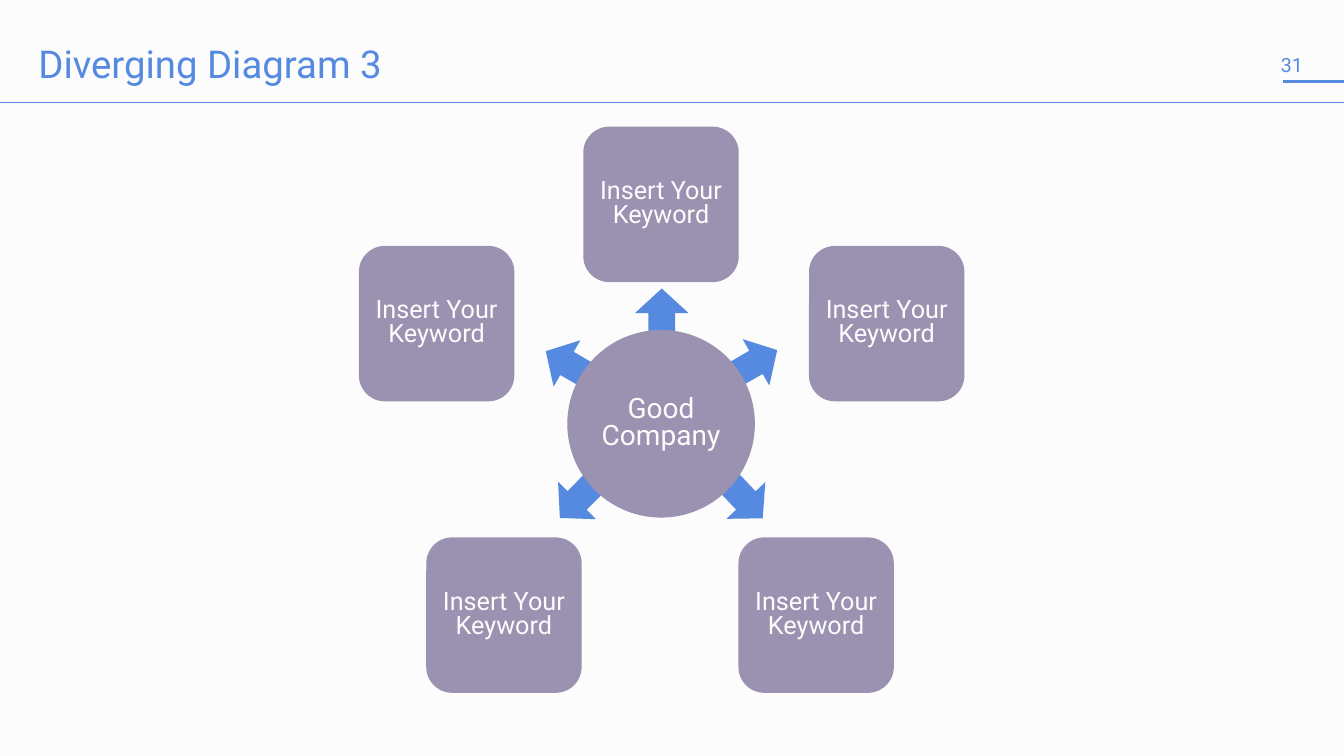
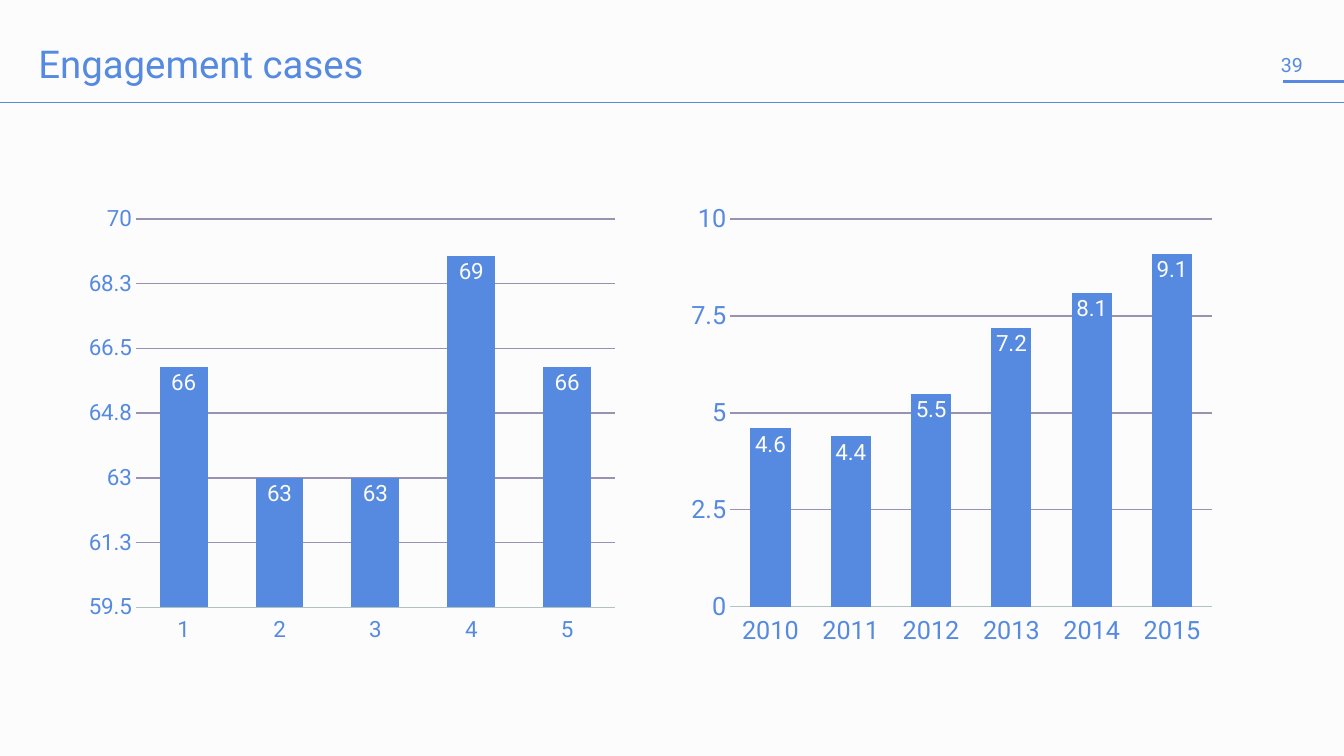
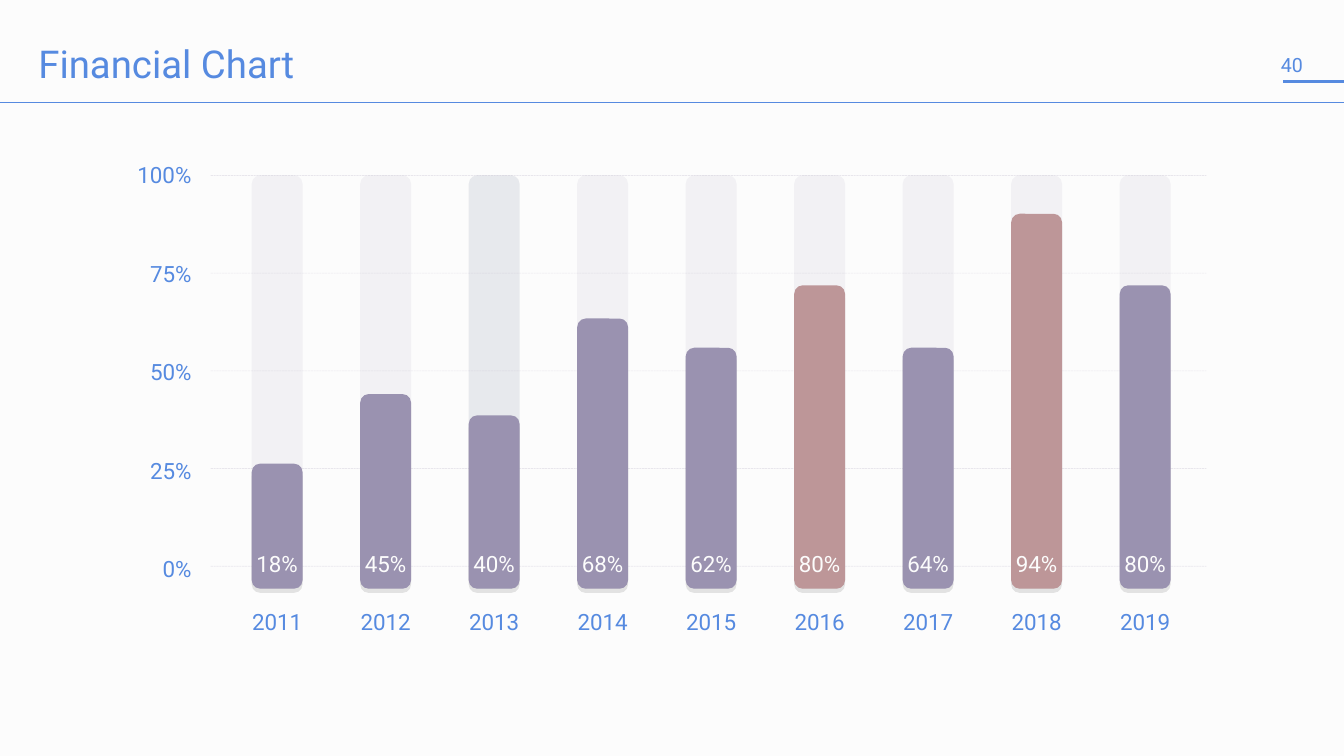
from dataclasses import dataclass

from lxml.etree import SubElement
from pptx import Presentation
from pptx.chart.data import CategoryChartData
from pptx.dml.color import RGBColor
from pptx.enum.chart import XL_CHART_TYPE, XL_LABEL_POSITION, XL_TICK_LABEL_POSITION, XL_TICK_MARK
from pptx.enum.dml import MSO_LINE
from pptx.enum.shapes import MSO_CONNECTOR, MSO_SHAPE
from pptx.enum.text import MSO_ANCHOR, MSO_AUTO_SIZE, PP_ALIGN
from pptx.oxml.ns import qn
from pptx.util import Pt


@dataclass(frozen=True)
class Theme:
    font: str = "Roboto"
    paper: RGBColor = RGBColor.from_string("FCFCFC")
    blue: RGBColor = RGBColor.from_string("568AE0")
    mauve: RGBColor = RGBColor.from_string("9A92B0")
    rose: RGBColor = RGBColor.from_string("BD9698")
    navy: RGBColor = RGBColor.from_string("36486D")
    baseline: RGBColor = RGBColor.from_string("B1C2C2")
    title: float = 27.4
    hub: int = 20
    keyword: int = 18
    label: int = 16
    number: int = 14


theme = Theme()


def paint(item, color, alpha=100, width=0):
    """Give a connector its line (when a width is set) or a shape its fill, without shadow."""
    if width:
        item.line.color.rgb = color
        item.line.width = Pt(width)
    else:
        item.fill.solid()
        item.fill.fore_color.rgb = color
        item.line.fill.background()
    properties = item.element.spPr
    if alpha < 100:
        SubElement(properties.find(".//" + qn("a:srgbClr")), qn("a:alpha"), val=str(alpha * 1000))
    SubElement(properties, qn("a:effectLst"))


def write(box, text, size, color, align=PP_ALIGN.LEFT, spacing=1.0, anchor=MSO_ANCHOR.TOP, inset=3.6):
    frame = box.text_frame
    frame.text = text
    frame.word_wrap = True
    frame.auto_size = MSO_AUTO_SIZE.NONE
    frame.vertical_anchor = anchor
    frame.margin_left = frame.margin_right = frame.margin_top = frame.margin_bottom = Pt(inset)
    for para in frame.paragraphs:
        para.alignment = align
        para.line_spacing = spacing
        for span in para.runs:
            span.font.name = theme.font
            span.font.size = Pt(size)
            span.font.color.rgb = color


# Shared frame: background, header rules, titles and page numbers
deck = Presentation()
deck.slide_width, deck.slide_height = Pt(960), Pt(540)
deck.slide_master.background.fill.solid()
deck.slide_master.background.fill.fore_color.rgb = theme.paper
layout = deck.slide_layouts[5]

pages = []
for title, number in [("Diverging Diagram 3", "31"), ("Engagement cases", "39"), ("Financial Chart", "40")]:
    page = deck.slides.add_slide(layout)
    heading = page.shapes.title
    heading.left, heading.top, heading.width, heading.height = Pt(23.8), Pt(32.4), Pt(823), Pt(38.9)
    write(heading, title, theme.title, theme.blue, spacing=0.75)
    number_box = page.shapes.add_textbox(Pt(910), Pt(33), Pt(40), Pt(26.6))
    write(number_box, number, theme.number, theme.blue, anchor=MSO_ANCHOR.MIDDLE, inset=5)
    pages.append(page)
diagram_page, cases_page, financial_page = pages

# Header rules are drawn once and moved to the layout
for left, top, width in [(916.6, 58.2, 2), (0, 73.3, 0.5)]:
    rule = diagram_page.shapes.add_connector(MSO_CONNECTOR.STRAIGHT, Pt(left), Pt(top), Pt(960), Pt(top))
    paint(rule, theme.blue, width=width)
    layout.shapes.element.append(rule.element)

# Diverging diagram: arrows (centre x, centre y, rotation), hub, keyword tiles
arrow_width, arrow_height = 35, 38.2
for x, y, rotation in [(472.7, 223.6, 270), (540, 258.8, 330), (532.8, 357.5, 46.6),
                       (412.2, 357.5, 134.6), (405, 259.6, 210)]:
    arrow = diagram_page.shapes.add_shape(
        MSO_SHAPE.RIGHT_ARROW, Pt(x - arrow_width / 2), Pt(y - arrow_height / 2), Pt(arrow_width), Pt(arrow_height))
    arrow.rotation = rotation
    paint(arrow, theme.blue)

hub = diagram_page.shapes.add_shape(MSO_SHAPE.OVAL, Pt(405.2), Pt(235.7), Pt(134), Pt(134))
paint(hub, theme.mauve)
write(hub, "Good\nCompany", theme.hub, theme.paper, PP_ALIGN.CENTER, 0.8, MSO_ANCHOR.MIDDLE, inset=0)

tile_size = 111
for left, top in [(416.7, 90.5), (577.9, 175.7), (527.5, 383.9), (304.5, 383.9), (256.4, 175.7)]:
    tile = diagram_page.shapes.add_shape(
        MSO_SHAPE.ROUNDED_RECTANGLE, Pt(left), Pt(top), Pt(tile_size), Pt(tile_size))
    paint(tile, theme.mauve)
    write(tile, "Insert Your Keyword", theme.keyword, theme.paper, PP_ALIGN.CENTER, 0.8, MSO_ANCHOR.MIDDLE)

# Engagement charts: place, categories, values, axis (low, high, step), axis type size, plot area
engagement_charts = [
    ((51.8, 137.5, 389.5, 331.2), ["1", "2", "3", "4", "5"], [66, 63, 63, 69, 66],
     (59.5, 70, 1.75), theme.label, (0.116, 0.057, 0.879, 0.838)),
    ((481.7, 134.6, 391.7, 337.7), ["2010", "2011", "2012", "2013", "2014", "2015"],
     [4.6, 4.4, 5.5, 7.2, 8.1, 9.1], (0, 10, 2.5), theme.keyword, (0.102, 0.065, 0.879, 0.82)),
]
for place, categories, values, (low, high, step), axis_size, plot_place in engagement_charts:
    data = CategoryChartData()
    data.categories = categories
    data.add_series("Series 1", values)
    chart = cases_page.shapes.add_chart(XL_CHART_TYPE.COLUMN_CLUSTERED, *map(Pt, place), data).chart
    chart.has_legend = chart.has_title = False
    chart.font.name = theme.font

    for axis in (chart.category_axis, chart.value_axis):
        axis.major_tick_mark = axis.minor_tick_mark = XL_TICK_MARK.NONE
        axis.tick_labels.font.name = theme.font
        axis.tick_labels.font.size = Pt(axis_size)
        axis.tick_labels.font.color.rgb = theme.blue
    chart.category_axis.tick_label_position = XL_TICK_LABEL_POSITION.LOW
    chart.category_axis.format.line.color.rgb = theme.baseline
    chart.category_axis.format.line.width = Pt(1)

    value_axis = chart.value_axis
    value_axis.minimum_scale, value_axis.maximum_scale, value_axis.major_unit = low, high, step
    value_axis.tick_labels.number_format = "0.#"
    value_axis.tick_labels.number_format_is_linked = False
    value_axis.format.line.fill.background()
    value_axis.major_gridlines.format.line.color.rgb = theme.mauve
    value_axis.major_gridlines.format.line.width = Pt(1)

    plot = chart.plots[0]
    plot.gap_width = 100
    plot.vary_by_categories = False
    series = plot.series[0]
    series.format.fill.solid()
    series.format.fill.fore_color.rgb = theme.blue
    labels = series.data_labels
    labels.show_value = True
    labels.position = XL_LABEL_POSITION.INSIDE_END
    labels.number_format = "0.#"
    labels.number_format_is_linked = False
    labels.font.name = theme.font
    labels.font.size = Pt(theme.label)
    labels.font.color.rgb = theme.paper

    plot_area = chart.element.find(".//" + qn("c:plotArea"))
    for automatic_layout in plot_area.findall(qn("c:layout")):
        plot_area.remove(automatic_layout)
    plot_layout = SubElement(plot_area, qn("c:layout"))
    plot_area.insert(0, plot_layout)
    manual = SubElement(plot_layout, qn("c:manualLayout"))
    settings = zip(("layoutTarget", "xMode", "yMode", "x", "y", "w", "h"), ("inner", "edge", "edge", *plot_place))
    for name, value in settings:
        SubElement(manual, qn("c:" + name), val=str(value))

# Financial chart: scale, then one track, bar and year for each column
track_top, track_height, bar_width, bar_pitch = 125.3, 295.2, 36.3, 77.5
for step, percent in enumerate(["100%", "75%", "50%", "25%", "0%"]):
    line_top = track_top + 69.8 * step
    grid_line = financial_page.shapes.add_connector(
        MSO_CONNECTOR.STRAIGHT, Pt(150.5), Pt(line_top), Pt(861.8), Pt(line_top))
    paint(grid_line, theme.mauve, alpha=20, width=0.5)
    grid_line.line.dash_style = MSO_LINE.SQUARE_DOT
    scale_box = financial_page.shapes.add_textbox(Pt(73.4), Pt(113 + 70.4 * step), Pt(67), Pt(26))
    write(scale_box, percent, theme.label, theme.blue, PP_ALIGN.RIGHT, 0.95)

columns = [
    ("2011", "18%", 89.3), ("2012", "45%", 139), ("2013", "40%", 123.8),
    ("2014", "68%", 193), ("2015", "62%", 172.1), ("2016", "80%", 216.7),
    ("2017", "64%", 172.1), ("2018", "94%", 267.8), ("2019", "80%", 216.7),
]
for index, (year, percent, bar_height) in enumerate(columns):
    left = 179.8 + bar_pitch * index
    bar_color = theme.rose if year in ("2016", "2018") else theme.mauve
    track_color = theme.navy if year == "2013" else theme.mauve
    bar_top = track_top + track_height - bar_height
    for top, height, color, alpha in [(track_top, track_height, track_color, 10),
                                      (bar_top, bar_height, bar_color, 100)]:
        bar = financial_page.shapes.add_shape(
            MSO_SHAPE.ROUNDED_RECTANGLE, Pt(left), Pt(top), Pt(bar_width), Pt(height))
        paint(bar, color, alpha)
    write(bar, percent, theme.label, theme.paper, PP_ALIGN.CENTER, 0.8, MSO_ANCHOR.BOTTOM, inset=0)
    bar.text_frame.margin_bottom = Pt(7)
    shadow = SubElement(bar.element.spPr.find(qn("a:effectLst")), qn("a:outerShdw"),
                        blurRad="0", dist=str(Pt(3)), dir="5400000", rotWithShape="0")
    shadow_color = SubElement(shadow, qn("a:srgbClr"), val="000000")
    SubElement(shadow_color, qn("a:alpha"), val="10000")

    year_width = 60
    year_box = financial_page.shapes.add_textbox(
        Pt(left + (bar_width - year_width) / 2), Pt(432), Pt(year_width), Pt(26))
    write(year_box, year, theme.label, theme.blue, PP_ALIGN.CENTER, 0.95)

deck.save("out.pptx")
